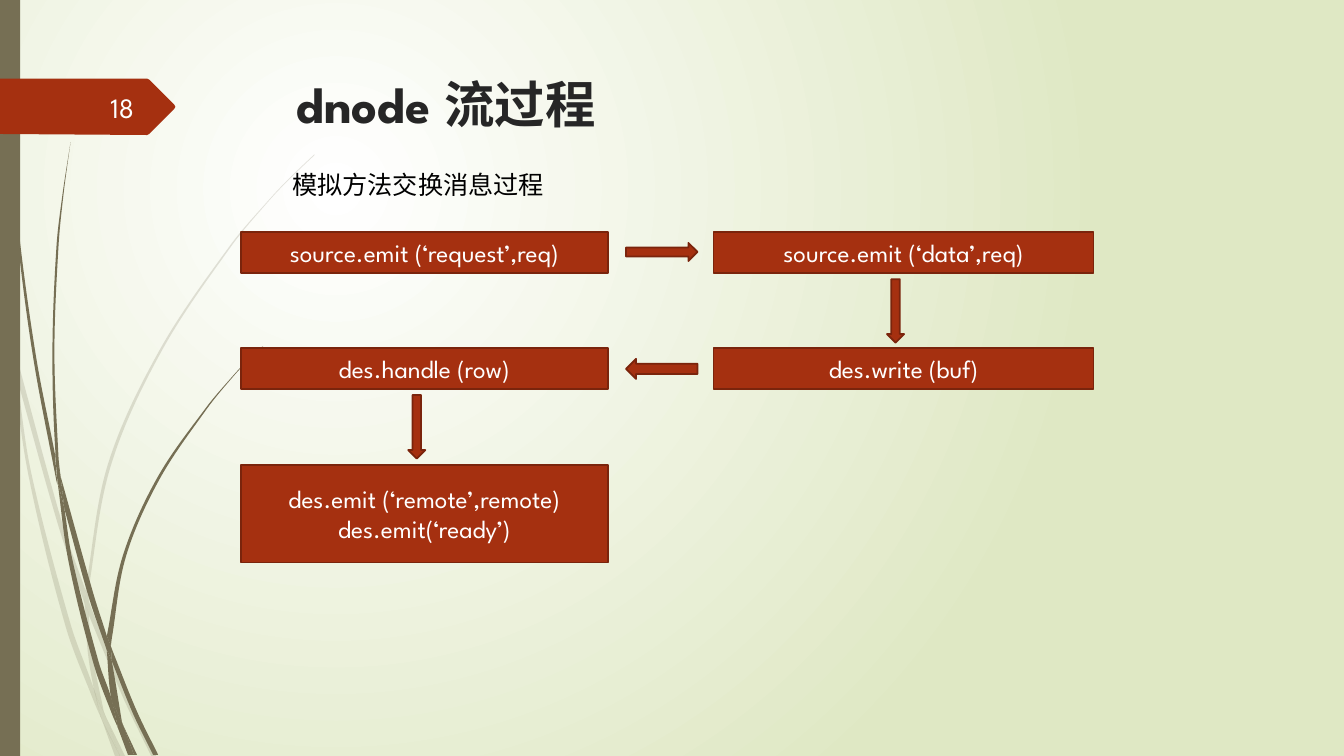
import math
from dataclasses import dataclass

from lxml import etree
from pptx import Presentation
from pptx import util as u
from pptx.dml import color as dml
from pptx.enum import shapes, text
from pptx.oxml import ns

PX = 9144  # EMU in one px, a hundredth of an inch
HEIGHT = 750
FONT = "League Spartan"
COLORS = {
    "glow": "FFFFFF", "meadow": "DFE8C4", "stem": "766F54", "accent": "A53010",
    "accent_edge": "7A240C", "title": "262626", "body": "000000",
    "on_accent": "FFFFFF", "page": "FEFFFF",
}
Point = tuple[int, int]
Edge = list[Point]
SHAPE, ALIGN, ANCHOR = shapes.MSO_SHAPE, text.PP_ALIGN, text.MSO_ANCHOR


@dataclass
class Strand:
    """A grass blade bounded by one edge going out and one coming back."""
    out: Edge
    back: Edge


@dataclass
class Box:
    left: int
    top: int
    width: int
    height: int


@dataclass
class Label:
    words: str
    box: Box
    size: int
    color: str
    align: ALIGN = ALIGN.LEFT
    anchor: ANCHOR = ANCHOR.TOP
    bold: bool = False
    grow: bool = False


@dataclass
class Part:
    kind: SHAPE
    box: Box
    words: str = ""


PALE_STRANDS = [
    Strand([(11, 350), (9, 322), (0, 282)], [(0, 299), (10, 344), (11, 350)]),
    Strand([(17, 376), (58, 522), (84, 599)], [(85, 586), (62, 520), (14, 345)]),
    Strand([(88, 610), (123, 694), (150, 750)],
           [(155, 750), (127, 692), (92, 607), (88, 596)]),
    Strand([(119, 750)], [(124, 750), (105, 711)]),
    Strand([(11, 350), (28, 470), (65, 621), (92, 693), (101, 714)],
           [(99, 707), (93, 683), (70, 619), (31, 469), (17, 376)]),
    Strand([(84, 599), (87, 646), (93, 683), (96, 692), (105, 711)],
           [(103, 706), (91, 646), (88, 610), (88, 608)]),
    Strand([(88, 596), (88, 584), (110, 462), (160, 349), (229, 245), (268, 198),
            (290, 175), (312, 154)],
           [(312, 153), (289, 175), (268, 197), (228, 244), (158, 348), (107, 461),
            (85, 584), (85, 586)]),
    Strand([(101, 714), (114, 750)], [(119, 750), (101, 714)]),
    Strand([(88, 608), (88, 610), (88, 596)], [(85, 586), (84, 599)]),
    Strand([(93, 683), (99, 707), (101, 714), (119, 750)], [(105, 711), (96, 692)]),
]
DARK_STRANDS = [
    Strand([(3, 0), (4, 48), (7, 110), (17, 233), (33, 355), (56, 477), (57, 481)],
           [(55, 457), (55, 453), (36, 355), (19, 232), (8, 109), (5, 48), (4, 0)]),
    Strand([(64, 505), (88, 592), (106, 645)],
           [(106, 633), (106, 631), (93, 590), (60, 472)]),
    Strand([(111, 656), (132, 708), (152, 749)],
           [(157, 749), (136, 706), (113, 649), (110, 641)]),
    Strand([(57, 477), (68, 557), (93, 659), (111, 708), (117, 722)],
           [(116, 717), (110, 691), (98, 657), (72, 556), (64, 505)]),
    Strand([(60, 472), (58, 453), (54, 349), (58, 245), (63, 193), (70, 141)],
           [(70, 141), (62, 193), (56, 245), (52, 349), (55, 449), (60, 472)]),
    Strand([(122, 719), (133, 749)], [(136, 749), (122, 719)]),
    Strand([(55, 449), (55, 453), (57, 477)], [(64, 505), (60, 472)]),
    Strand([(110, 641), (111, 633), (125, 552), (158, 476), (205, 406), (231, 374),
            (245, 359), (261, 344)],
           [(260, 344), (245, 358), (231, 373), (204, 405), (156, 474), (122, 551),
            (106, 631)]),
    Strand([(117, 722), (127, 749)], [(131, 749), (117, 722)]),
    Strand([(106, 645), (110, 691), (116, 706), (122, 719)],
           [(121, 716), (111, 656), (109, 651)]),
    Strand([(106, 645), (109, 651), (111, 656)], [(110, 641), (106, 631), (106, 633)]),
    Strand([(110, 691), (116, 717), (117, 722), (130, 749)],
           [(133, 749), (122, 719), (116, 706)]),
]
PAGE_TAG = [(0, 78), (146, 78), (148, 79), (173, 104), (174, 106), (173, 108),
            (148, 133), (146, 134), (0, 133)]

LEFT, RIGHT = (239, 364), (708, 377)  # left and width of each column
ROWS = (230, 345, 461)
ROW_HEIGHT = 41
STEPS = [
    Part(SHAPE.RECTANGLE, Box(LEFT[0], ROWS[0], LEFT[1], ROW_HEIGHT),
         "source.emit (‘request’,req)"),
    Part(SHAPE.RECTANGLE, Box(RIGHT[0], ROWS[0], RIGHT[1], ROW_HEIGHT),
         "source.emit (‘data’,req)"),
    Part(SHAPE.RECTANGLE, Box(RIGHT[0], ROWS[1], RIGHT[1], ROW_HEIGHT), "des.write (buf)"),
    Part(SHAPE.RECTANGLE, Box(LEFT[0], ROWS[1], LEFT[1], ROW_HEIGHT), "des.handle (row)"),
    Part(SHAPE.RECTANGLE, Box(LEFT[0], ROWS[2], LEFT[1], 97),
         "des.emit (‘remote’,remote)\ndes.emit(‘ready’)"),
]
ARROWS = [
    Part(SHAPE.RIGHT_ARROW, Box(621, 241, 71, 18)),
    Part(SHAPE.DOWN_ARROW, Box(880, 277, 17, 63)),
    Part(SHAPE.DOWN_ARROW, Box(405, 392, 17, 63)),
    Part(SHAPE.LEFT_ARROW, Box(621, 356, 71, 20)),
]
PAGE_NUMBER = Label("18", Box(58, 86, 85, 40), 20, "page", ALIGN.RIGHT, ANCHOR.MIDDLE)
TITLE = Label("dnode 流过程", Box(284, 68, 975, 140), 36, "title", bold=True)
CAPTION = Label("模拟方法交换消息过程", Box(280, 163, 282, 40), 18, "body", grow=True)


def emu(box: Box) -> tuple[int, ...]:
    return tuple(n * PX for n in (box.left, box.top, box.width, box.height))


def rgb(name: str) -> dml.RGBColor:
    return dml.RGBColor.from_string(COLORS[name])


def handles(edge: Edge) -> list[tuple]:
    """Give the two Bézier handles of each segment of a smooth edge."""
    ends = [edge[0], *edge, edge[-1]]
    pairs = []
    for a, b, c, d in zip(ends, ends[1:], ends[2:], ends[3:]):
        reach = math.dist(b, c) / 3
        leave, arrive = reach / math.dist(a, c), reach / math.dist(b, d)
        pairs.append(((b[0] + (c[0] - a[0]) * leave, b[1] + (c[1] - a[1]) * leave),
                      (c[0] - (d[0] - b[0]) * arrive, c[1] - (d[1] - b[1]) * arrive)))
    return pairs


def paint(shape, fill: str, edge: str = "") -> None:
    shape.shadow.inherit = False
    shape.fill.solid()
    shape.fill.fore_color.rgb = rgb(fill)
    if edge:
        shape.line.color.rgb = rgb(edge)
        shape.line.width = u.Pt(1.25)
    else:
        shape.line.fill.background()


def draw_outline(parent, points: Edge, fill: str):
    corners = [(x * PX, y * PX) for x, y in points]
    builder = parent.build_freeform(*corners[0], scale=1)
    builder.add_line_segments(corners[1:], close=True)
    outline = builder.convert_to_shape()
    paint(outline, fill)
    return outline


def draw_blade(parent, strand: Strand):
    """Draw a strand and bend its straight segments into curves."""
    blade = draw_outline(parent, strand.out + strand.back, "stem")
    tip = (strand.out[-1], strand.back[0])
    bends = handles(strand.out) + [tip] + handles(strand.back)
    for segment, bend in zip(blade._element.findall(".//" + ns.qn("a:lnTo")), bends):
        segment.tag = ns.qn("a:cubicBezTo")
        for place, (x, y) in enumerate(bend):
            segment.insert(place, etree.Element(
                ns.qn("a:pt"), x=str(round(x * PX) - blade.left),
                y=str(round(y * PX) - blade.top)))
    return blade


def draw_grass(slide, strands: list[Strand], opacity: int = 100) -> None:
    tuft = slide.shapes.add_group_shape().shapes
    for strand in strands:
        blade = draw_blade(tuft, strand)
        if opacity < 100:
            tint = blade._element.find(".//" + ns.qn("a:srgbClr"))
            etree.SubElement(tint, ns.qn("a:alpha"), val=str(opacity * 1000))


def write(frame, words: str, size: int, color: str, align: ALIGN, bold: bool = False) -> None:
    frame.word_wrap = True
    frame.text = words
    for paragraph in frame.paragraphs:
        paragraph.alignment = align
        for run in paragraph.runs:
            run.font.name, run.font.size, run.font.bold = FONT, u.Pt(size), bold
            run.font.color.rgb = rgb(color)


def draw_part(slide, part: Part) -> None:
    shape = slide.shapes.add_shape(part.kind, *emu(part.box))
    paint(shape, "accent", "accent_edge")
    if part.words:
        shape.text_frame.vertical_anchor = ANCHOR.MIDDLE
        write(shape.text_frame, part.words, 18, "on_accent", ALIGN.CENTER)


def draw_label(slide, label: Label) -> None:
    frame = slide.shapes.add_textbox(*emu(label.box)).text_frame
    write(frame, label.words, label.size, label.color, label.align, label.bold)
    frame.vertical_anchor = label.anchor
    if label.grow:
        frame.auto_size = text.MSO_AUTO_SIZE.SHAPE_TO_FIT_TEXT


def draw_background(slide) -> None:
    fill = slide.background.fill
    fill.gradient()
    for stop, name, position in zip(fill.gradient_stops, ("glow", "meadow"), (0, 1)):
        stop.color.rgb = rgb(name)
        stop.position = position
    gradient = slide.background._cSld.find(".//" + ns.qn("a:gradFill"))
    gradient.remove(gradient.find(ns.qn("a:lin")))
    circle = etree.SubElement(gradient, ns.qn("a:path"), path="circle")
    etree.SubElement(circle, ns.qn("a:fillToRect"),
                     l="50000", t="50000", r="100000", b="100000")


def main() -> None:
    deck = Presentation()
    deck.slide_height = HEIGHT * PX
    deck.slide_width = deck.slide_height * 16 // 9
    slide = deck.slides.add_slide(deck.slide_layouts[6])
    draw_background(slide)
    draw_grass(slide, PALE_STRANDS, opacity=20)
    draw_grass(slide, DARK_STRANDS)
    side_bar = slide.shapes.add_shape(SHAPE.RECTANGLE, *emu(Box(0, 0, 20, HEIGHT)))
    paint(side_bar, "stem")
    draw_outline(slide.shapes, PAGE_TAG, "accent")
    draw_label(slide, PAGE_NUMBER)
    draw_label(slide, TITLE)
    for step in STEPS:
        draw_part(slide, step)
    draw_label(slide, CAPTION)
    for arrow in ARROWS:
        draw_part(slide, arrow)


    deck.save("out.pptx")


if __name__ == "__main__":
    main()
